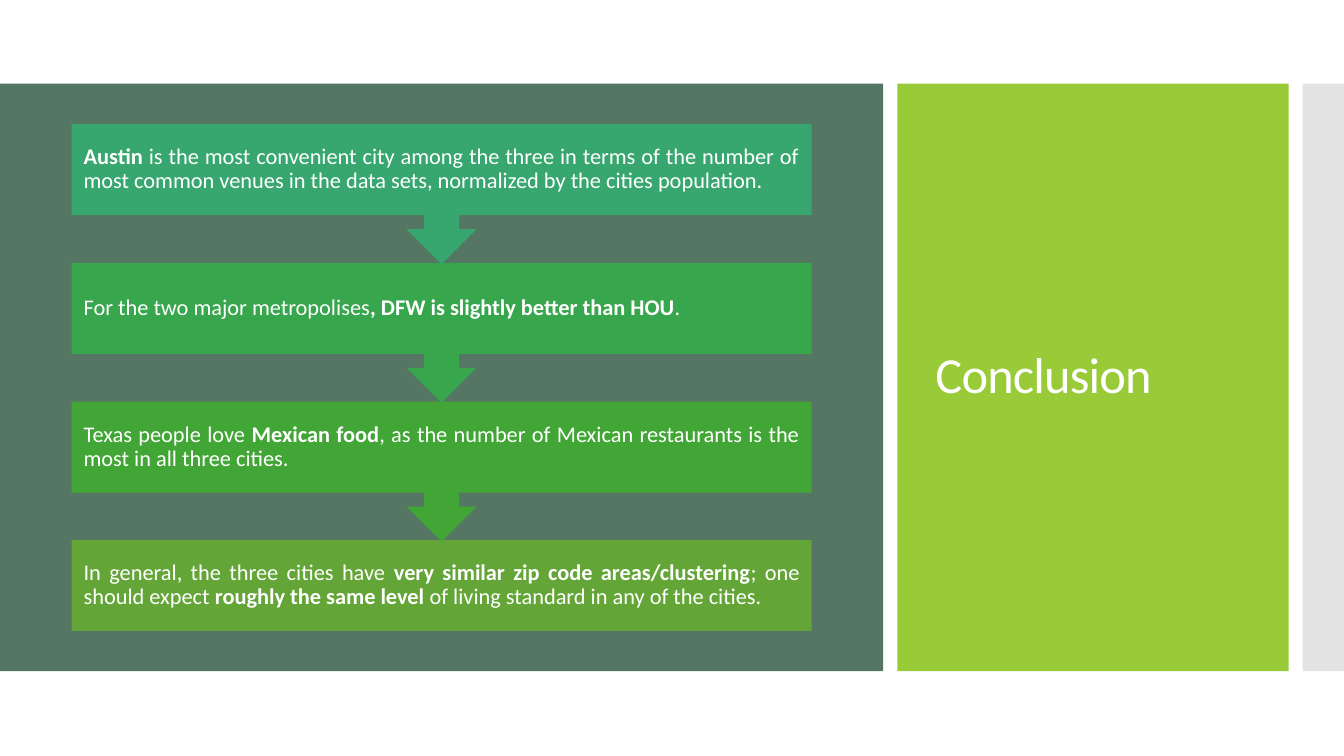
from lxml import etree
from pptx import Presentation
from pptx.dml.color import RGBColor
from pptx.enum.shapes import MSO_SHAPE as SHAPE
from pptx.enum.text import MSO_ANCHOR as ANCHOR, PP_ALIGN as ALIGN
from pptx.oxml.ns import qn
from pptx.util import Inches, Pt

WHITE = RGBColor(0xFF, 0xFF, 0xFF)
SLATE = RGBColor(0x56, 0x76, 0x64)
LIME = RGBColor(0x99, 0xCB, 0x38)
GREY = RGBColor(0xC8, 0xC8, 0xC8)
TEAL = RGBColor(0x37, 0xA7, 0x6F)
EMERALD = RGBColor(0x37, 0xA6, 0x4D)
GREEN = RGBColor(0x42, 0xA6, 0x37)
OLIVE = RGBColor(0x63, 0xA5, 0x37)


def add_block(kind, left, top, width, height, color):
    sp = s.shapes.add_shape(kind, Inches(left), Inches(top), Inches(width), Inches(height))
    sp.shadow.inherit = False
    sp.fill.solid()
    sp.fill.fore_color.rgb = color
    sp.line.fill.background()
    return sp


def write(tf, runs, size=16, align=ALIGN.JUSTIFY, inset=0.12, spacing=None):
    tf.word_wrap = True
    tf.vertical_anchor = ANCHOR.MIDDLE
    tf.margin_left = tf.margin_right = tf.margin_top = tf.margin_bottom = Inches(inset)
    p = tf.paragraphs[0]
    p.alignment = align
    p.line_spacing = 0.9
    for text, bold in runs:
        r = p.add_run()
        r.text = text
        r.font.name = "Calibri"
        r.font.size = Pt(size)
        r.font.bold = bold
        r.font.color.rgb = WHITE
        if spacing:
            r.font._element.set("spc", str(spacing))


prs = Presentation()
prs.slide_width, prs.slide_height = Inches(13.33), Inches(7.5)
s = prs.slides.add_slide(prs.slide_layouts[6])
s.background.fill.solid()
s.background.fill.fore_color.rgb = WHITE

# Panels
add_block(SHAPE.RECTANGLE, 0, 0.83, 8.76, 5.83, SLATE)
add_block(SHAPE.RECTANGLE, 8.9, 0.83, 3.88, 5.83, LIME)
strip = add_block(SHAPE.RECTANGLE, 12.92, 0.83, 0.41, 5.83, GREY)
strip_color = strip.fill._xPr.find(qn("a:solidFill"))[0]
etree.SubElement(strip_color, qn("a:alpha")).set("val", "50000")

# Title
title = s.shapes.add_textbox(Inches(9.18), Inches(1.23), Inches(3.22), Inches(5.03))
write(title.text_frame, [("Conclusion", False)], size=36, align=ALIGN.LEFT,
      inset=0.1, spacing=-60)

# Chain of findings, from top to bottom; each run is (text, bold)
findings = [
    (TEAL, [("Austin", True),
            (" is the most convenient city among the three in terms of the number of "
             "most common venues in the data sets, normalized by the cities population.", False)]),
    (EMERALD, [("For the two major metropolises", False),
               (", DFW is slightly better than HOU", True),
               (".", False)]),
    (GREEN, [("Texas people love ", False),
             ("Mexican food", True),
             (", as the number of Mexican restaurants is the most in all three cities.", False)]),
    (OLIVE, [("In general, the three cities have ", False),
             ("very similar zip code areas/clustering", True),
             ("; one should expect ", False),
             ("roughly the same level", True),
             (" of living standard in any of the cities.", False)]),
]
first_top, last_top = 1.23, 5.36
last = len(findings) - 1
step = (last_top - first_top) / last

# Drawn from the bottom up so that each arrow tip lies over the next box
for i, (color, runs) in reversed(list(enumerate(findings))):
    kind, height = (SHAPE.RECTANGLE, 0.9) if i == last else (SHAPE.DOWN_ARROW_CALLOUT, 1.39)
    box = add_block(kind, 0.71, first_top + i * step, 7.34, height, color)
    write(box.text_frame, runs)

prs.save("out.pptx")
